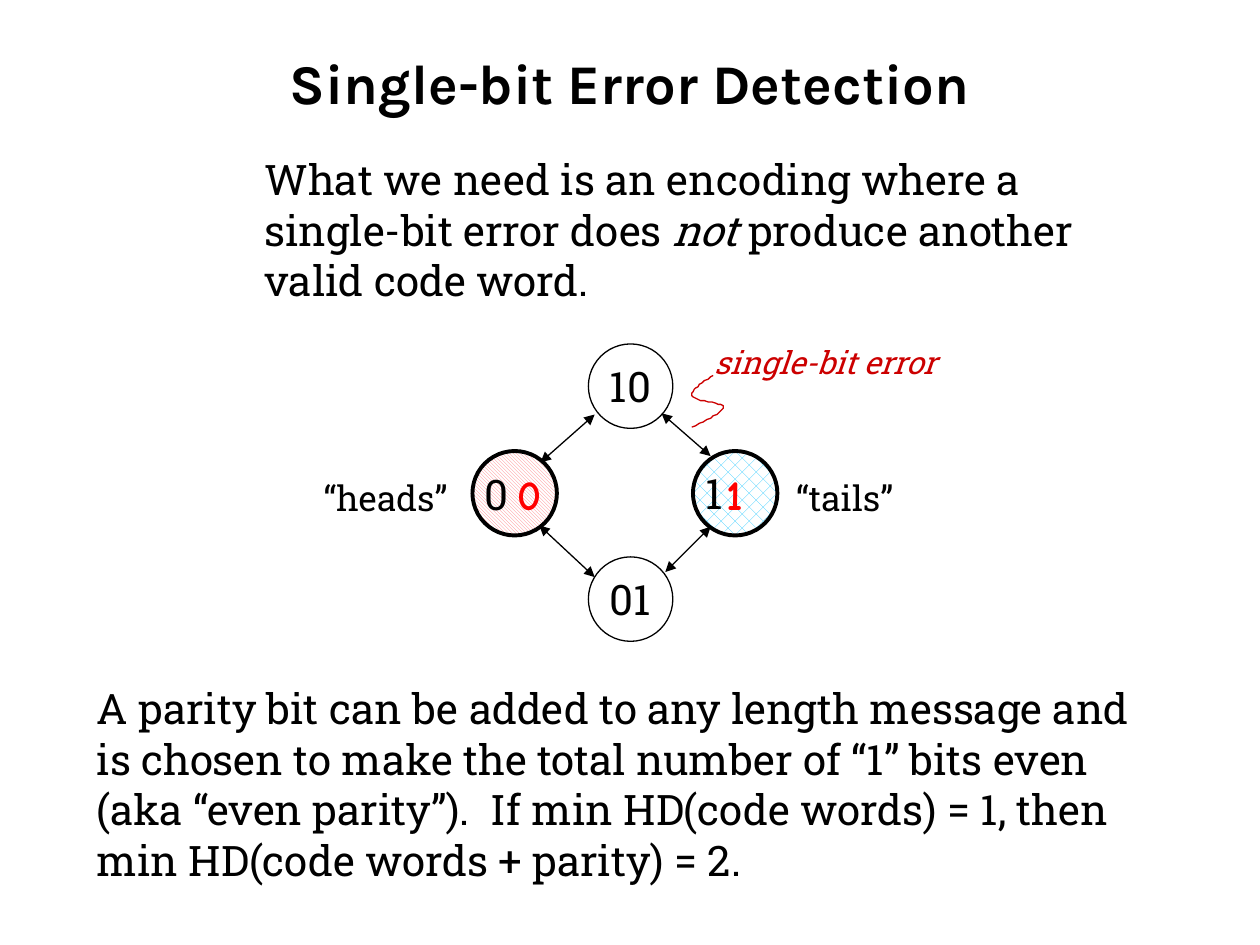
from dataclasses import dataclass

from lxml.etree import SubElement
from pptx import Presentation
from pptx.dml.color import RGBColor
from pptx.enum.dml import MSO_PATTERN
from pptx.enum.shapes import MSO_CONNECTOR, MSO_SHAPE
from pptx.enum.text import MSO_ANCHOR, MSO_AUTO_SIZE, PP_ALIGN
from pptx.oxml.ns import qn
from pptx.util import Emu, Pt

PX = 9144  # 100 px to the inch
CIRCLE = 67


@dataclass(frozen=True)
class Theme:
    black: str = "000000"
    white: str = "FFFFFF"
    note: str = "CC0000"
    parity: str = "FF0000"
    heads: str = "FF7C80"
    tails: str = "33CCFF"
    title_font: str = "Karla"
    body_font: str = "Roboto Slab"
    parity_font: str = "Comic Neue"
    title: int = 32
    body: int = 24
    label: int = 20
    small: int = 18
    thin: float = 0.75
    thick: float = 2.25


T = Theme()


def px(*lengths):
    return [Emu(round(n * PX)) for n in lengths]


def add_run(p, text, color=T.black, **formats):
    r = p.add_run()
    r.text = text
    values = {"name": T.body_font, "size": T.body, **formats}
    values["size"] = Pt(values["size"])
    for name, value in values.items():
        setattr(r.font, name, value)
    r.font.color.rgb = RGBColor.from_string(color)


def add_text(s, box, *runs, wrap=False, align=PP_ALIGN.LEFT,
             anchor=MSO_ANCHOR.TOP, grow=True):
    """Add a text box; each run is a (text, formats) pair."""
    tf = s.shapes.add_textbox(*px(*box)).text_frame
    tf.word_wrap = wrap
    tf.auto_size = MSO_AUTO_SIZE.SHAPE_TO_FIT_TEXT if grow else MSO_AUTO_SIZE.NONE
    tf.vertical_anchor = anchor
    p = tf.paragraphs[0]
    p.alignment = align
    for text, formats in runs:
        add_run(p, text, **formats)


def set_line(shape, color, width):
    shape.line.color.rgb = RGBColor.from_string(color)
    shape.line.width = Pt(width)


def add_circle(s, x, y, width, text=None, pattern=None, color=None):
    sp = s.shapes.add_shape(MSO_SHAPE.OVAL, *px(x, y, CIRCLE, CIRCLE))
    sp.shadow.inherit = False
    set_line(sp, T.black, width)
    if pattern:
        sp.fill.patterned()
        sp.fill.pattern = pattern
        sp.fill.fore_color.rgb = RGBColor.from_string(color)
        sp.fill.back_color.rgb = RGBColor.from_string(T.white)
    else:
        sp.fill.background()
    if text:
        tf = sp.text_frame
        tf.word_wrap = False
        tf.vertical_anchor = MSO_ANCHOR.MIDDLE
        tf.paragraphs[0].alignment = PP_ALIGN.CENTER
        add_run(tf.paragraphs[0], text)


def add_double_arrow(s, *ends):
    c = s.shapes.add_connector(MSO_CONNECTOR.STRAIGHT, *px(*ends))
    set_line(c, T.black, T.thin)
    ln = c.line._get_or_add_ln()
    for end in ("a:headEnd", "a:tailEnd"):
        SubElement(ln, qn(end), type="triangle")
    SubElement(c._element.spPr, qn("a:effectLst"))


def bezier(points, steps=12):
    """Points along a cubic curve, without its start."""
    for i in range(1, steps + 1):
        t = i / steps
        weights = ((1 - t) ** 3, 3 * t * (1 - t) ** 2, 3 * t * t * (1 - t), t ** 3)
        yield tuple(sum(w * pt[axis] for w, pt in zip(weights, points))
                    for axis in (0, 1))


def add_squiggle(s, points):
    """Draw chained cubic curves: a start, then three points for each curve."""
    fb = s.shapes.build_freeform(*points[0], scale=PX)
    for i in range(0, len(points) - 1, 3):
        fb.add_line_segments(list(bezier(points[i:i + 4])), close=False)
    sp = fb.convert_to_shape()
    sp.shadow.inherit = False
    sp.fill.background()
    set_line(sp, T.note, T.thin)


def main():
    prs = Presentation()
    prs.slide_width, prs.slide_height = px(1000, 750)
    s = prs.slides.add_slide(prs.slide_layouts[6])

    # Title and introduction
    add_text(s, (50, 30, 900, 70),
             ("Single-bit Error Detection",
              {"name": T.title_font, "size": T.title, "bold": True}),
             wrap=True, align=PP_ALIGN.CENTER, anchor=MSO_ANCHOR.MIDDLE, grow=False)
    add_text(s, (200, 117, 708, 131),
             ("What we need is an encoding where a single-bit error does ", {}),
             ("not", {"italic": True}),
             (" produce another valid code word.", {}), wrap=True)

    # Valid code words
    add_circle(s, 550, 358, T.thick, pattern=MSO_PATTERN.PERCENT_25, color=T.tails)
    add_circle(s, 375, 358, T.thick,
               pattern=MSO_PATTERN.DARK_DOWNWARD_DIAGONAL, color=T.heads)
    add_text(s, (247, 373, 132, 44), ("“heads”", {"size": T.label}))
    add_text(s, (622, 373, 107, 44), ("“tails”", {"size": T.label}))

    # Invalid code words, one bit away from the valid ones
    for y, code in ((273, "10"), (442, "01")):
        add_circle(s, 467, y, T.thin, text=code)
    for ends in ((429, 367, 472, 329), (564, 362, 525, 328),
                 (428, 417, 472, 458), (564, 418, 528, 454)):
        add_double_arrow(s, *ends)

    # Note on the error
    add_text(s, (557, 267, 202, 40),
             ("single-bit error", {"size": T.small, "color": T.note, "italic": True}))
    add_squiggle(s, [(566, 298), (557, 304), (548, 310), (549, 314),
                     (551, 319), (574, 319), (574, 323),
                     (574, 327), (562, 333), (549, 339)])

    # Explanation
    add_text(s, (67, 537, 850, 172),
             ("A parity bit can be added to any length message and is chosen to make "
              "the total number of “1” bits even (aka “even parity”).  If min "
              "HD(code words) = 1, then min HD(code words + parity) = 2.", {}),
             wrap=True)

    # Data bits, each followed by its parity bit
    parity = {"name": T.parity_font, "color": T.parity, "bold": True}
    for bit, data_x, data_y, parity_x in (("0", 375, 367, 401), ("1", 550, 366, 567)):
        add_text(s, (data_x, data_y, 41, 51), (bit, {}))
        add_text(s, (parity_x, 367, 41, 51), (bit, parity))

    prs.save("out.pptx")


if __name__ == "__main__":
    main()
